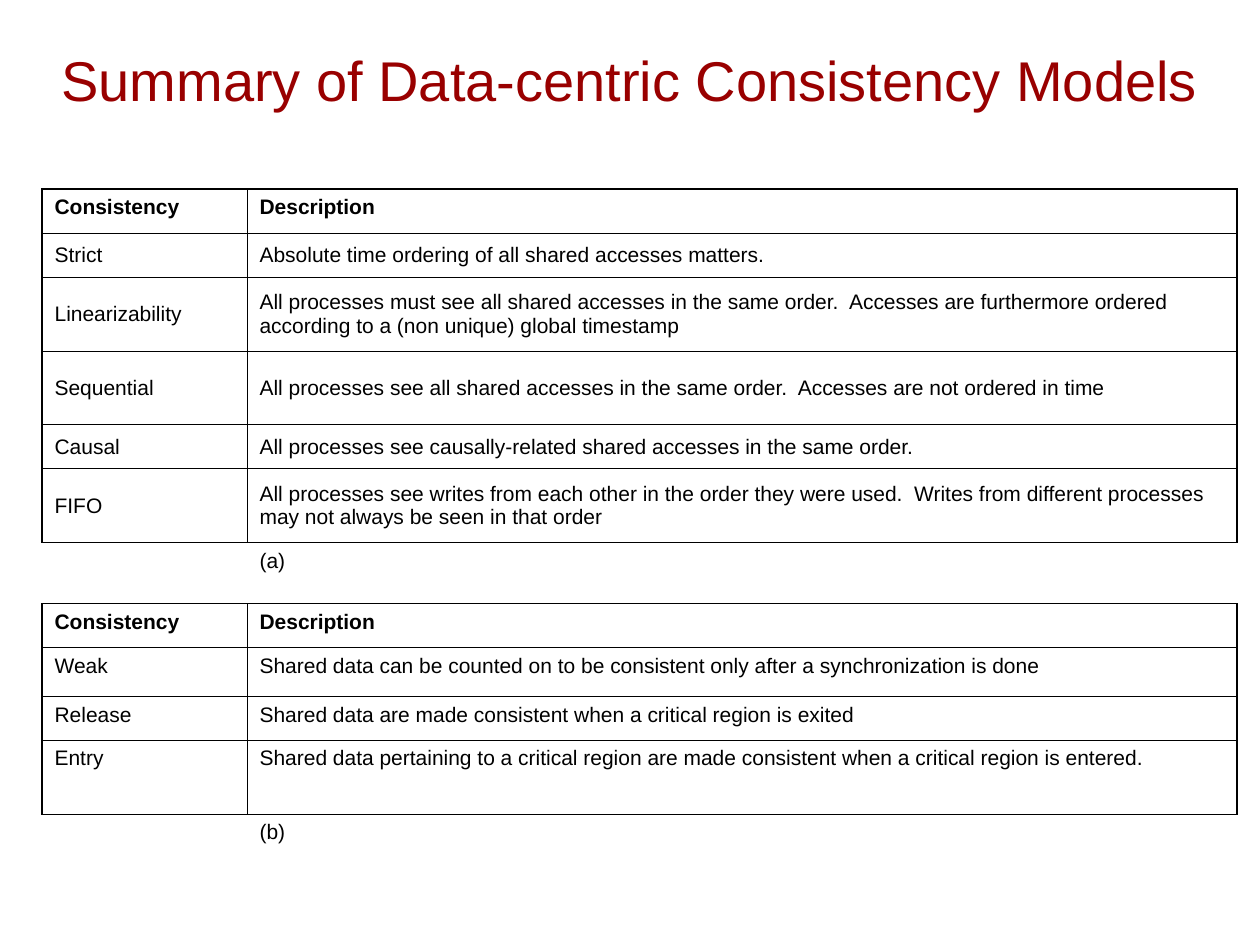
from dataclasses import dataclass

from lxml import etree
from pptx import Presentation
from pptx.dml.color import RGBColor
from pptx.enum.text import MSO_ANCHOR, PP_ALIGN
from pptx.oxml.ns import qn
from pptx.slide import Slide
from pptx.table import _Cell
from pptx.text.text import _Paragraph
from pptx.util import Emu, Pt

TOP, MIDDLE = MSO_ANCHOR.TOP, MSO_ANCHOR.MIDDLE
CENTER = PP_ALIGN.CENTER

EMU_PER_PX = 914400 / 126
FONT = "Arial"
DARK_RED = RGBColor(0x99, 0x00, 0x00)
BLACK = RGBColor(0x00, 0x00, 0x00)
NO_LINE, THIN, THICK = 0, 0.45, 1.08
SHORT, MEDIUM, CAPTION, TALL = 44, 49, 61, 74
COLUMN_WIDTHS = (205, 990)


@dataclass(frozen=True)
class ModelRow:
    model: str
    description: str
    height: int = SHORT
    anchor: MSO_ANCHOR = TOP
    bold: bool = False


HEADER = ModelRow("Consistency", "Description", bold=True)
ROWS = (
    HEADER,
    ModelRow("Strict", "Absolute time ordering of all shared accesses matters.", SHORT, MIDDLE),
    ModelRow(
        "Linearizability",
        "All processes must see all shared accesses in the same order.  Accesses are "
        "furthermore ordered according to a (non unique) global timestamp",
        TALL, MIDDLE,
    ),
    ModelRow(
        "Sequential",
        "All processes see all shared accesses in the same order.  "
        "Accesses are not ordered in time",
        TALL, MIDDLE,
    ),
    ModelRow(
        "Causal",
        "All processes see causally-related shared accesses in the same order.",
        SHORT, MIDDLE,
    ),
    ModelRow(
        "FIFO",
        "All processes see writes from each other in the order they were used.  "
        "Writes from different processes may not always be seen in that order",
        TALL, MIDDLE,
    ),
    ModelRow("", "(a)", CAPTION),
    HEADER,
    ModelRow(
        "Weak",
        "Shared data can be counted on to be consistent only after a synchronization is done",
        MEDIUM,
    ),
    ModelRow("Release", "Shared data are made consistent when a critical region is exited"),
    ModelRow(
        "Entry",
        "Shared data pertaining to a critical region are made consistent when a "
        "critical region is entered.",
        TALL,
    ),
    ModelRow("", "(b)", CAPTION),
)


def px(length: int) -> Emu:
    return Emu(round(length * EMU_PER_PX))


def format_runs(paragraph: _Paragraph, size: int, color: RGBColor, bold: bool = False) -> None:
    for run in paragraph.runs:
        run.font.name = FONT
        run.font.size = Pt(size)
        run.font.bold = bold
        run.font.color.rgb = color


def set_borders(cell: _Cell, left: float, right: float, top: float, bottom: float) -> None:
    properties = cell._tc.get_or_add_tcPr()
    for tag, width in (("a:lnL", left), ("a:lnR", right), ("a:lnT", top), ("a:lnB", bottom)):
        line = etree.SubElement(properties, qn(tag), w=str(Pt(width)))
        if width == NO_LINE:
            etree.SubElement(line, qn("a:noFill"))
        else:
            fill = etree.SubElement(line, qn("a:solidFill"))
            etree.SubElement(fill, qn("a:srgbClr"), val=str(BLACK))


def add_title(slide: Slide, text: str) -> None:
    title = slide.shapes.add_textbox(0, 0, px(1260), px(158)).text_frame
    title.word_wrap = True
    title.vertical_anchor = MIDDLE
    title.text = text
    title.paragraphs[0].alignment = CENTER
    format_runs(title.paragraphs[0], 32, DARK_RED)


def fill_cell(cell: _Cell, text: str, row: ModelRow) -> None:
    cell.fill.background()
    cell.vertical_anchor = row.anchor
    cell.text_frame.text = text
    paragraph = cell.text_frame.paragraphs[0]
    paragraph.space_before = Pt(3)
    format_runs(paragraph, 12, BLACK, row.bold)


def add_models_table(slide: Slide, left: int, top: int) -> None:
    height = sum(row.height for row in ROWS)
    models = slide.shapes.add_table(
        len(ROWS), len(COLUMN_WIDTHS), px(left), px(top), px(sum(COLUMN_WIDTHS)), px(height)
    ).table
    models.first_row = False
    models.horz_banding = False
    for column, width in zip(models.columns, COLUMN_WIDTHS):
        column.width = px(width)
    for index, row in enumerate(ROWS):
        models.rows[index].height = px(row.height)
        outer, inner = (THICK, THIN) if row.model else (NO_LINE, NO_LINE)
        above = THICK if index == 0 else THIN
        below = NO_LINE if index == len(ROWS) - 1 else THIN
        model_cell, description_cell = models.cell(index, 0), models.cell(index, 1)
        set_borders(model_cell, outer, inner, above, below)
        set_borders(description_cell, inner, outer, above, below)
        fill_cell(model_cell, row.model, row)
        fill_cell(description_cell, row.description, row)


def main() -> None:
    presentation = Presentation()
    presentation.slide_width = px(1260)
    presentation.slide_height = px(945)
    slide = presentation.slides.add_slide(presentation.slide_layouts[6])
    add_title(slide, "Summary of Data-centric Consistency Models")
    add_models_table(slide, 42, 189)
    presentation.save("out.pptx")


if __name__ == "__main__":
    main()
